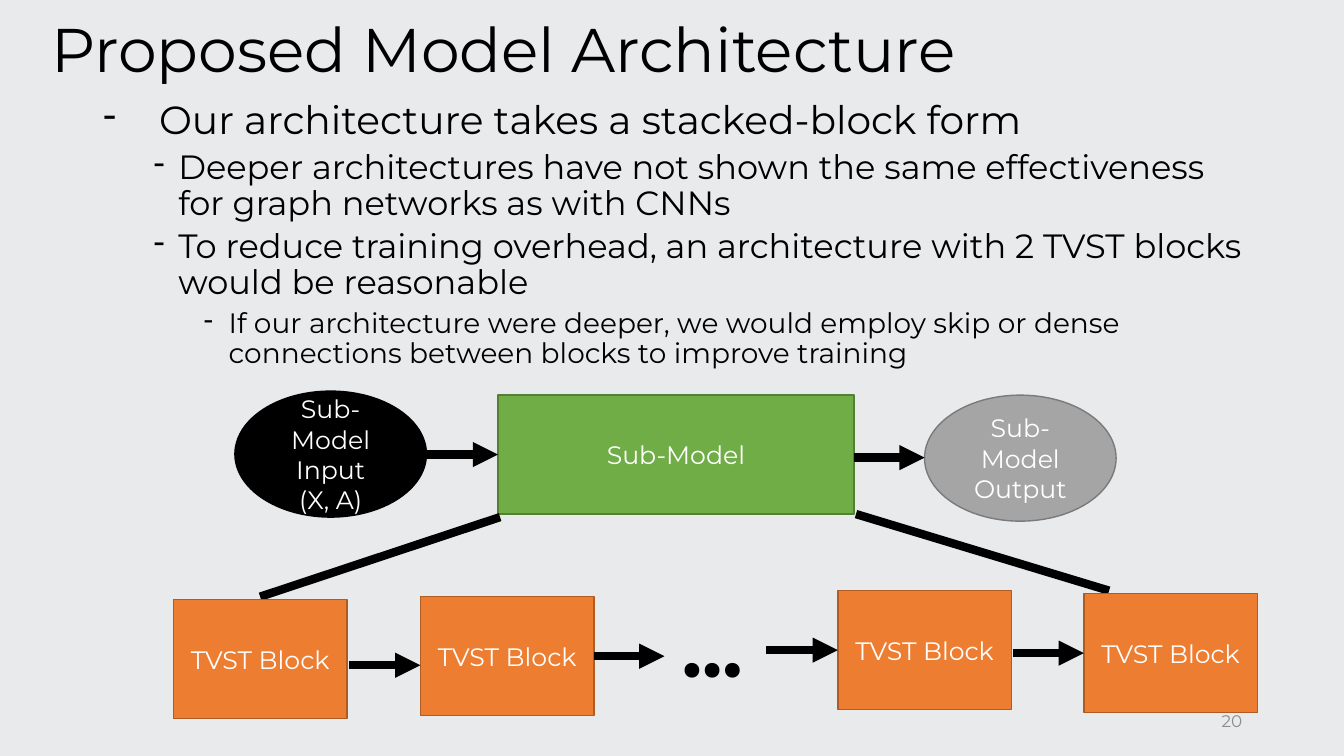
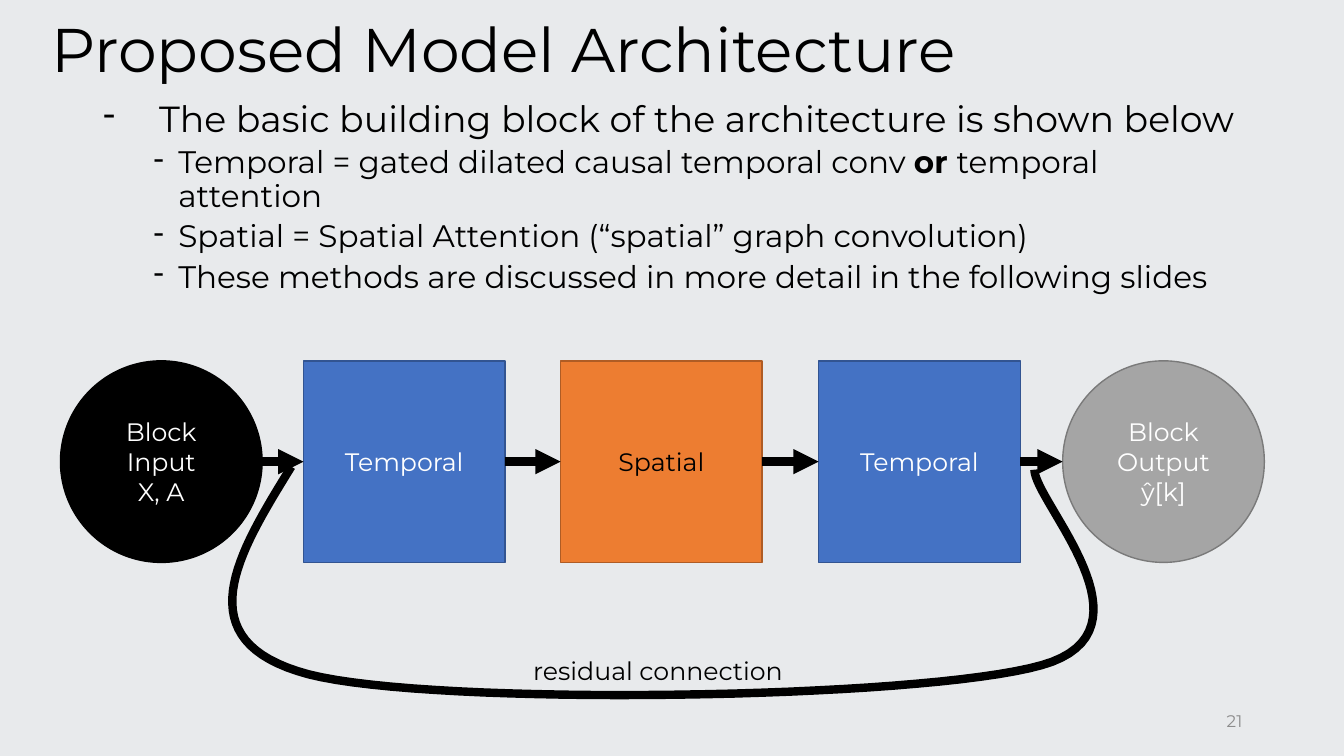
import pptx
import pptx.dml.color
import pptx.enum.shapes
import pptx.enum.text
import pptx.oxml.ns
import pptx.util
from lxml import etree

RGB = pptx.dml.color.RGBColor
SHAPE = pptx.enum.shapes.MSO_SHAPE
STRAIGHT = pptx.enum.shapes.MSO_CONNECTOR.STRAIGHT
ANCHOR = pptx.enum.text.MSO_ANCHOR
ALIGN = pptx.enum.text.PP_ALIGN
NO_FIT = pptx.enum.text.MSO_AUTO_SIZE.NONE
Pt = pptx.util.Pt
qn = pptx.oxml.ns.qn

PX = 9144
FONT = "Montserrat"
PAPER = RGB(0xE8, 0xEA, 0xEC)
BLACK = RGB(0, 0, 0)
WHITE = RGB(0xFF, 0xFF, 0xFF)
MUTED = RGB(0x8C, 0x8C, 0x8C)
GRAY, GRAY_EDGE = RGB(0xA5, 0xA5, 0xA5), RGB(0x7A, 0x7A, 0x7A)
GREEN, GREEN_EDGE = RGB(0x70, 0xAD, 0x47), RGB(0x53, 0x80, 0x35)
ORANGE, ORANGE_EDGE = RGB(0xED, 0x7D, 0x31), RGB(0xAF, 0x5C, 0x24)
BLUE, BLUE_EDGE = RGB(0x44, 0x72, 0xC4), RGB(0x32, 0x54, 0x91)

LEVELS = [(56, -56, 10), (75, -25, 5), (125, -25, 5)]


def emu(*lengths):
    return [round(n * PX) for n in lengths]


def bezier(p0, p1, p2, p3, steps=32):
    for i in range(1, steps + 1):
        t = i / steps
        u = 1 - t
        yield tuple(u**3 * a + 3 * u * u * t * b + 3 * u * t * t * c + t**3 * d
                    for a, b, c, d in zip(p0, p1, p2, p3))


class Deck:
    def __init__(self):
        self.prs = pptx.Presentation()
        self.prs.slide_width, self.prs.slide_height = emu(1333, 750)

    def slide(self, title, number):
        self.s = self.prs.slides.add_slide(self.prs.slide_layouts[5])
        fill = self.s.background.fill
        fill.solid()
        fill.fore_color.rgb = PAPER
        sp = self.s.shapes.title
        sp.left, sp.top, sp.width, sp.height = emu(41, 10, 1252, 85)
        tf = sp.text_frame
        tf.text = title
        tf.auto_size = NO_FIT
        tf.vertical_anchor = ANCHOR.MIDDLE
        tf.paragraphs[0].line_spacing = 0.9
        self.style(tf.paragraphs[0], 44, BLACK, ALIGN.LEFT)
        self.text(942, 695, 300, 40, number, 12, MUTED, ALIGN.RIGHT, ANCHOR.MIDDLE)

    def style(self, p, size, color, align=None):
        p.alignment = align
        for r in p.runs:
            r.font.name = FONT
            r.font.size = Pt(size)
            r.font.color.rgb = color

    def text(self, x, y, w, h, text, size, color=BLACK, align=ALIGN.LEFT,
             anchor=ANCHOR.TOP, wrap=True, bold=False):
        tf = self.s.shapes.add_textbox(*emu(x, y, w, h)).text_frame
        tf.text = text
        tf.word_wrap = wrap
        tf.vertical_anchor = anchor
        p = tf.paragraphs[0]
        self.style(p, size, color, align)
        p.runs[0].font.bold = bold

    def bullets(self, h, sizes, items):
        tf = self.s.shapes.add_textbox(*emu(92, 95, 1150, h)).text_frame
        tf.word_wrap = True
        for i, (level, text) in enumerate(items):
            p = tf.add_paragraph() if i else tf.paragraphs[0]
            margin, indent, before = LEVELS[level]
            p.level = level
            p.line_spacing = 0.9
            p.space_before = Pt(before)
            for k, part in enumerate(text.split("**")):
                r = p.add_run()
                r.text = part
                r.font.bold = k % 2 == 1
            self.style(p, sizes[level], BLACK, ALIGN.LEFT)
            pPr = p._p.get_or_add_pPr()
            pPr.set("marL", str(margin * PX))
            pPr.set("indent", str(indent * PX))
            etree.SubElement(pPr, qn("a:buChar")).set("char", "‐")

    def node(self, kind, x, y, w, h, text, fill, edge, color=WHITE):
        sp = self.s.shapes.add_shape(kind, *emu(x, y, w, h))
        sp.shadow.inherit = False
        sp.fill.solid()
        sp.fill.fore_color.rgb = fill
        sp.line.color.rgb = edge
        sp.line.width = Pt(1)
        tf = sp.text_frame
        tf.text = text
        tf.word_wrap = True
        tf.vertical_anchor = ANCHOR.MIDDLE
        for p in tf.paragraphs:
            self.style(p, 18, color, ALIGN.CENTER)
        return sp

    def line(self, x1, y1, x2, y2, begin=None, end=None, arrow=True):
        c = self.s.shapes.add_connector(STRAIGHT, *emu(x1, y1, x2, y2))
        if begin is not None:
            c.begin_connect(begin, 3)
        if end is not None:
            c.end_connect(end, 1)
        c.line.color.rgb = BLACK
        c.line.width = Pt(6)
        spPr = c._element.spPr
        if arrow:
            etree.SubElement(spPr.find(qn("a:ln")), qn("a:tailEnd")).set("type", "triangle")
        etree.SubElement(spPr, qn("a:effectLst"))

    def curve(self, start, segments):
        points = [start]
        for segment in segments:
            points.extend(bezier(points[-1], *segment))
        points = [emu(*point) for point in points]
        fb = self.s.shapes.build_freeform(*points[0], scale=1.0)
        fb.add_line_segments(points[1:], close=False)
        sp = fb.convert_to_shape()
        sp.shadow.inherit = False
        sp.fill.background()
        sp.line.color.rgb = BLACK
        sp.line.width = Pt(6)


def stacked_blocks(deck):
    deck.slide("Proposed Model Architecture", "20")
    deck.bullets(288, (28, 24, 20), [
        (0, "Our architecture takes a stacked-block form"),
        (1, "Deeper architectures have not shown the same effectiveness for graph networks as with CNNs"),
        (1, "To reduce training overhead, an architecture with 2 TVST blocks would be reasonable"),
        (2, "If our architecture were deeper, we would employ skip or dense connections between blocks to improve training"),
    ])
    deck.node(SHAPE.OVAL, 233, 388, 190, 125, "Sub-Model Input\n(X, A)", BLACK, BLACK)
    model = deck.node(SHAPE.RECTANGLE, 494, 392, 353, 118, "Sub-Model", GREEN, GREEN_EDGE)
    deck.node(SHAPE.OVAL, 917, 392, 190, 125, "Sub-Model Output", GRAY, GRAY_EDGE)
    deck.line(423, 451, 494, 451, end=model)
    deck.line(847, 454, 917, 454)
    deck.line(496, 513, 258, 592, arrow=False)
    deck.line(1100, 586, 849, 510, arrow=False)

    blocks = [deck.node(SHAPE.RECTANGLE, x, y, 172, 118, "TVST Block", ORANGE, ORANGE_EDGE)
              for x, y in ((172, 595), (417, 592), (831, 586), (1075, 589))]
    deck.line(346, 660, 417, 660)
    deck.line(589, 651, 659, 651, begin=blocks[1])
    deck.line(760, 645, 831, 645, end=blocks[2])
    deck.line(1005, 648, 1075, 648, end=blocks[3])
    deck.text(667, 592, 102, 101, "…", 54, bold=True)


def building_block(deck):
    deck.slide("Proposed Model Architecture", "21")
    deck.bullets(255, (25.9, 22.2), [
        (0, "The basic building block of the architecture is shown below"),
        (1, "Temporal = gated dilated causal temporal conv **or **temporal attention"),
        (1, "Spatial = Spatial Attention (“spatial” graph convolution)"),
        (1, "These methods are discussed in more detail in the following slides"),
    ])
    top, size = 358, 200
    mid = top + size // 2
    deck.node(SHAPE.OVAL, 60, top, size, size, "Block Input\nX, A", BLACK, BLACK)
    deck.node(SHAPE.OVAL, 1054, top, size, size, "Block Output\nŷ[k]", GRAY, GRAY_EDGE)
    steps = [deck.node(SHAPE.RECTANGLE, x, top, size, size, *look) for x, look in (
        (301, ("Temporal", BLUE, BLUE_EDGE)),
        (556, ("Spatial", ORANGE, ORANGE_EDGE, BLACK)),
        (812, ("Temporal", BLUE, BLUE_EDGE)),
    )]
    ends = [None, *steps, None]
    lefts = [60, 301, 556, 812, 1054]
    for i in range(4):
        deck.line(lefts[i] + size, mid, lefts[i + 1], mid, ends[i], ends[i + 1])
    deck.curve((289, 463), [
        ((236, 549), (182, 636), (306, 669)),
        ((430, 701), (913, 694), (1033, 660)),
        ((1153, 626), (1026, 498), (1026, 466)),
    ])
    deck.text(519, 645, 274, 40, "residual connection", 18, wrap=False)


def main():
    deck = Deck()
    stacked_blocks(deck)
    building_block(deck)
    deck.prs.save("out.pptx")


if __name__ == "__main__":
    main()
